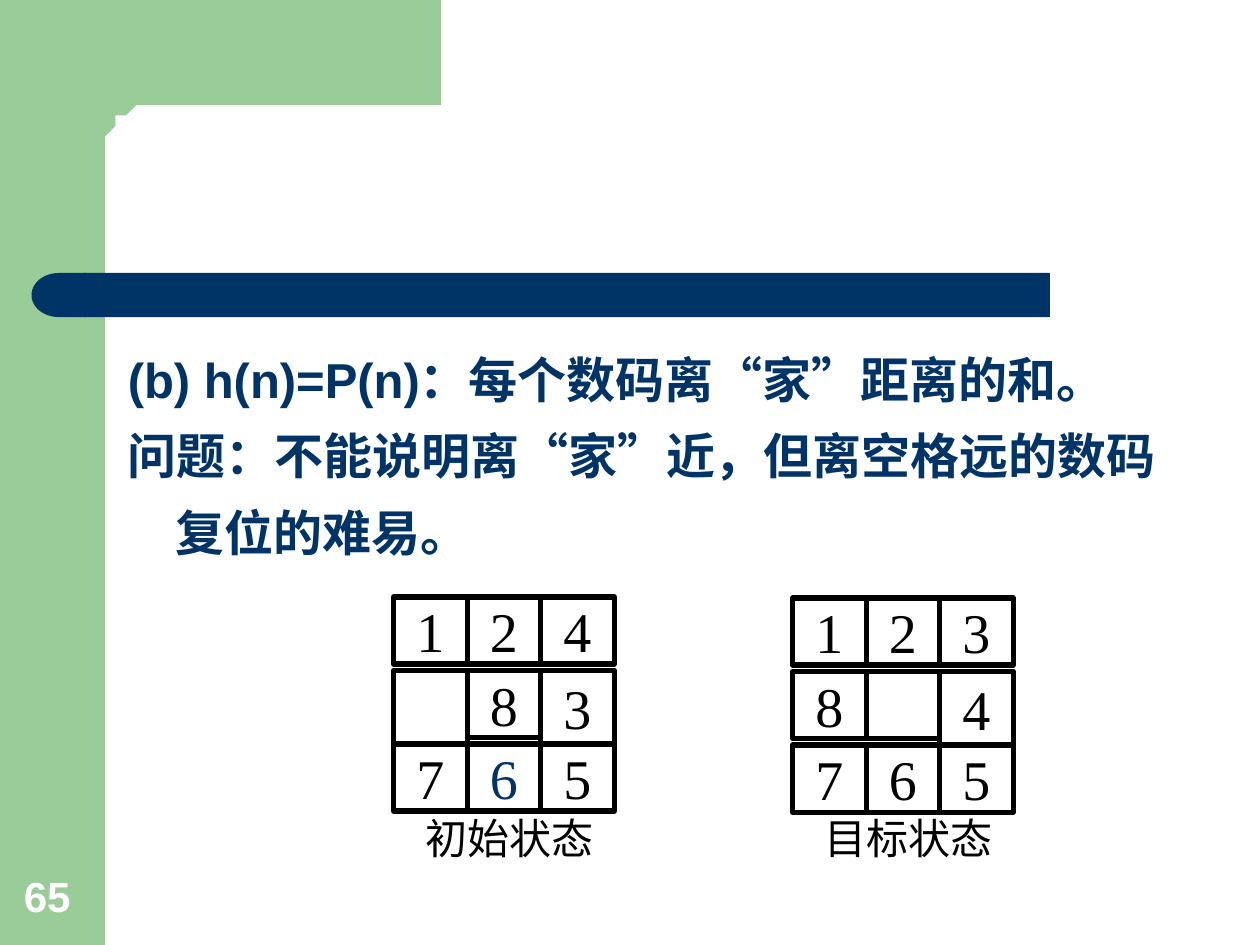
import pptx
import pptx.util
import pptx.dml.color
import pptx.enum.shapes
import pptx.enum.text

RGBColor = pptx.dml.color.RGBColor
SHAPE = pptx.enum.shapes.MSO_SHAPE
ALIGN = pptx.enum.text.PP_ALIGN
ANCHOR = pptx.enum.text.MSO_ANCHOR

GREEN = RGBColor(0x99, 0xCC, 0x99)
NAVY = RGBColor(0x00, 0x33, 0x66)
BLACK = RGBColor(0x00, 0x00, 0x00)
WHITE = RGBColor(0xFF, 0xFF, 0xFF)

COLUMNS, ROWS = 120, 90
CELL = pptx.util.Inches(10) // COLUMNS
TILE_PITCH = 7
TILE_HEIGHT = 6.4


def grid(*counts):
    """Turn counts of grid cells into lengths."""
    return [round(count * CELL) for count in counts]


def write(shape, *paragraphs, size, font, color, bold=False, align=ALIGN.LEFT,
          anchor=ANCHOR.TOP, insets=(0.1, 0.05), wrap=True, spacing=None, hanging=0):
    """Fill a shape with formatted paragraphs; insets are in inches."""
    frame = shape.text_frame
    frame.word_wrap = wrap
    frame.vertical_anchor = anchor
    frame.margin_left = frame.margin_right = pptx.util.Inches(insets[0])
    frame.margin_top = frame.margin_bottom = pptx.util.Inches(insets[1])
    for index, text in enumerate(paragraphs):
        paragraph = frame.add_paragraph() if index else frame.paragraphs[0]
        paragraph.alignment = align
        if spacing:
            paragraph.line_spacing = spacing
        if hanging:
            properties = paragraph._p.get_or_add_pPr()
            properties.set("marL", str(pptx.util.Inches(hanging)))
            properties.set("indent", str(-pptx.util.Inches(hanging)))
        run = paragraph.add_run()
        run.text = text
        run.font.size = pptx.util.Pt(size)
        run.font.name = font
        run.font.bold = bold
        run.font.color.rgb = color


def add_label(slide, place, *paragraphs, **text_format):
    write(slide.shapes.add_textbox(*grid(*place)), *paragraphs, **text_format)


def paint(shape, color):
    shape.shadow.inherit = False
    shape.fill.solid()
    shape.fill.fore_color.rgb = color
    shape.line.fill.background()


def add_block(slide, kind, place, color):
    block = slide.shapes.add_shape(kind, *grid(*place))
    paint(block, color)
    return block


def curve(start, bend_out, bend_in, end, steps=6):
    """Sample a cubic Bezier curve, without its start point."""
    for step in range(1, steps + 1):
        t = step / steps
        weights = ((1 - t) ** 3, 3 * t * (1 - t) ** 2, 3 * t * t * (1 - t), t ** 3)
        yield tuple(sum(w * point[axis] for w, point in
                        zip(weights, (start, bend_out, bend_in, end)))
                    for axis in (0, 1))


def add_corner_band(slide):
    """Top band whose inner corner with the side bar is rounded."""
    arc_start, arc_end = (14, 10), (10, 14)
    outline = [(42, 10), arc_start,
               *curve(arc_start, (11.8, 10), (10, 11.8), arc_end),
               (10, 15.4), (6, 15.4), (6, 0)]
    builder = slide.shapes.build_freeform(42, 0, scale=CELL)
    builder.add_line_segments(outline, close=True)
    paint(builder.convert_to_shape(), GREEN)


def add_backdrop(slide):
    add_block(slide, SHAPE.RECTANGLE, (0, 0, 10, ROWS), GREEN)
    add_corner_band(slide)
    add_block(slide, SHAPE.RECTANGLE, (8, 26, 92, 4.2), NAVY)
    cap = add_block(slide, SHAPE.FLOWCHART_DELAY, (3, 26, 5.2, 4.2), NAVY)
    cap._element.spPr.get_or_add_xfrm().set("flipH", "1")


def add_tile(board, place, digit, color, anchor):
    tile = board.shapes.add_shape(SHAPE.RECTANGLE, *grid(*place))
    tile.shadow.inherit = False
    tile.fill.background()
    tile.line.color.rgb = BLACK
    tile.line.width = pptx.util.Pt(3)
    if digit.strip():
        write(tile, digit, size=32, font="Times New Roman", color=color,
              align=ALIGN.CENTER, anchor=anchor, insets=(0, 0))


def add_board(slide, left, top, digits, tall, marked=""):
    """Draw a 3 by 3 puzzle; tall cells fill the whole row pitch."""
    board = slide.shapes.add_group_shape()
    for row, line in enumerate(digits):
        for column, digit in enumerate(line):
            is_tall = (row, column) in tall
            place = (left + column * TILE_PITCH, top + row * TILE_PITCH,
                     TILE_PITCH, TILE_PITCH if is_tall else TILE_HEIGHT)
            add_tile(board, place, digit, NAVY if digit == marked else BLACK,
                     ANCHOR.MIDDLE if is_tall else ANCHOR.TOP)


def main():
    deck = pptx.Presentation()
    deck.slide_width, deck.slide_height = grid(COLUMNS, ROWS)
    slide = deck.slides.add_slide(deck.slide_layouts[6])

    add_backdrop(slide)
    add_label(slide, (1.1, 82, 7.7, 6.3), "65", size=24, font="Arial",
              color=WHITE, bold=True, anchor=ANCHOR.BOTTOM)
    add_label(slide, (11, 31, 101, 48.8),
              "(b) h(n)=P(n)：每个数码离“家”距离的和。",
              "问题：不能说明离“家”近，但离空格远的数码复位的难易。",
              size=28, font="Arial", color=NAVY, bold=True, spacing=1.3, hanging=0.38)

    add_board(slide, 37.5, 56.85, ("124", " 83", "765"), {(1, 0), (1, 2)}, marked="6")
    add_board(slide, 75.5, 56.95, ("123", "8 4", "765"), {(1, 2)})
    for left, width, caption in ((37.5, 22, "初始状态"), (76.5, 20, "目标状态")):
        add_label(slide, (left, 76.8, width, 6), caption, size=24,
                  font="Comic Neue", color=BLACK, align=ALIGN.CENTER)

    deck.save("out.pptx")


if __name__ == "__main__":
    main()
